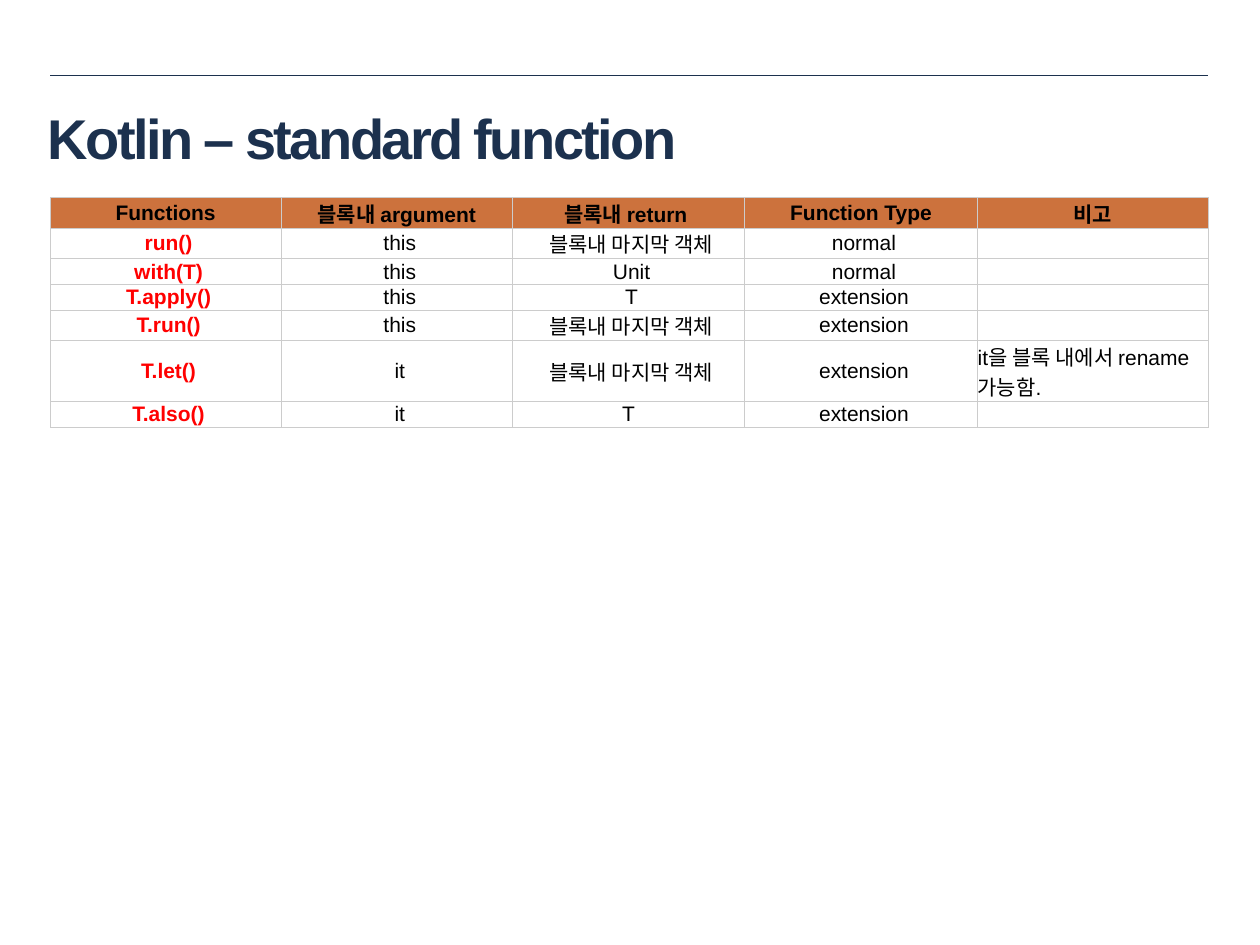
import lxml.etree
import pptx
import pptx.dml.color
import pptx.enum.text
import pptx.oxml
import pptx.oxml.ns
import pptx.util

Inches = pptx.util.Inches
Pt = pptx.util.Pt
qn = pptx.oxml.ns.qn
RGBColor = pptx.dml.color.RGBColor
ALIGN = pptx.enum.text.PP_ALIGN
ANCHOR = pptx.enum.text.MSO_ANCHOR

THEME = {
    "font": "Arial",
    "title_size": 32,
    "table_size": 12,
    "navy": "1C314E",
    "header_fill": "CC723D",
    "text": "000000",
    "function": "FF0000",
    "border": "CCCCCC",
}
LEFT, RIGHT = 0.4, 9.59
NBSP = chr(160)  # the body text is led by a non-breaking space

HEADERS = ["Functions", "블록내 argument", "블록내 return" + NBSP, "Function Type", "비고"]
LAST_OBJECT = "블록내 마지막 객체"
FUNCTIONS = [
    ("run()", "this", LAST_OBJECT, "normal", ""),
    ("with(T)", "this", "Unit", "normal", ""),
    ("T.apply()", "this", "T", "extension", ""),
    ("T.run()", "this", LAST_OBJECT, "extension", ""),
    ("T.let()", "it", LAST_OBJECT, "extension", "it을 블록 내에서 rename 가능함." + NBSP),
    ("T.also()", "it", "T" + NBSP, "extension", ""),
]
COLUMN_WIDTHS = [1.83, 1.84, 1.84, 1.85, 1.83]
ROW_HEIGHT = 0.17


def add_run(paragraph, text, size, color, bold=False):
    run = paragraph.add_run()
    run.text = text
    run.font.name = THEME["font"]
    run.font.size = Pt(size)
    run.font.bold = bold
    run.font.color.rgb = RGBColor.from_string(color)
    return run


def format_cell(cell):
    cell.margin_left = cell.margin_right = cell.margin_top = cell.margin_bottom = 0
    cell.vertical_anchor = ANCHOR.MIDDLE
    properties = cell._tc.get_or_add_tcPr()
    for side in ("lnL", "lnR", "lnT", "lnB"):
        border = lxml.etree.SubElement(properties, qn("a:" + side), w=str(Pt(0.5)))
        fill = lxml.etree.SubElement(border, qn("a:solidFill"))
        lxml.etree.SubElement(fill, qn("a:srgbClr"), val=THEME["border"])
    cell.fill.background()


presentation = pptx.Presentation()
presentation.slide_width = Inches(10)
presentation.slide_height = Inches(7.5)
slide = presentation.slides.add_slide(presentation.slide_layouts[5])

# Rule above the title
rule = slide.shapes.add_connector(
    pptx.enum.shapes.MSO_CONNECTOR.STRAIGHT,
    Inches(LEFT), Inches(0.6), Inches(RIGHT), Inches(0.6))
rule.line.color.rgb = RGBColor.from_string(THEME["navy"])
rule.line.width = Pt(0.25)
lxml.etree.SubElement(rule._element.spPr, qn("a:effectLst"))

# Title
title = slide.shapes.title
title.left, title.top = Inches(0.28), Inches(0.77)
title.width, title.height = Inches(9.41), Inches(0.64)
title.text_frame.vertical_anchor = ANCHOR.MIDDLE
paragraph = title.text_frame.paragraphs[0]
paragraph.alignment = ALIGN.LEFT
run = add_run(paragraph, "Kotlin – standard function", THEME["title_size"], THEME["navy"], True)
run.font._element.set("spc", "-150")

# Table grid
row_count = len(FUNCTIONS) + 1
table = slide.shapes.add_table(
    row_count, len(HEADERS), Inches(LEFT), Inches(1.57),
    Inches(RIGHT - LEFT), Inches(ROW_HEIGHT * row_count)).table
table.horz_banding = False
for column, width in zip(table.columns, COLUMN_WIDTHS):
    column.width = Inches(width)
for row in table.rows:
    row.height = Inches(ROW_HEIGHT)
size = THEME["table_size"]

# Header row
for column_index, text in enumerate(HEADERS):
    cell = table.cell(0, column_index)
    format_cell(cell)
    cell.fill.solid()
    cell.fill.fore_color.rgb = RGBColor.from_string(THEME["header_fill"])
    paragraph = cell.text_frame.paragraphs[0]
    paragraph.alignment = ALIGN.CENTER
    add_run(paragraph, text, size, THEME["text"], True)

# One row per function; only the remark is left-aligned
for row_index, values in enumerate(FUNCTIONS, start=1):
    for column_index, text in enumerate(values):
        cell = table.cell(row_index, column_index)
        format_cell(cell)
        paragraph = cell.text_frame.paragraphs[0]
        is_remark = column_index == len(HEADERS) - 1
        paragraph.alignment = ALIGN.LEFT if is_remark else ALIGN.CENTER
        if not text:
            # Keeps an empty cell from stretching its row
            lxml.etree.SubElement(paragraph._p, qn("a:endParaRPr"), sz=str(size * 100))
        elif column_index == 0:
            add_run(paragraph, NBSP, size, THEME["text"])
            add_run(paragraph, text, size, THEME["function"], True)
        else:
            add_run(paragraph, text if is_remark else NBSP + text, size, THEME["text"])

presentation.save("out.pptx")
